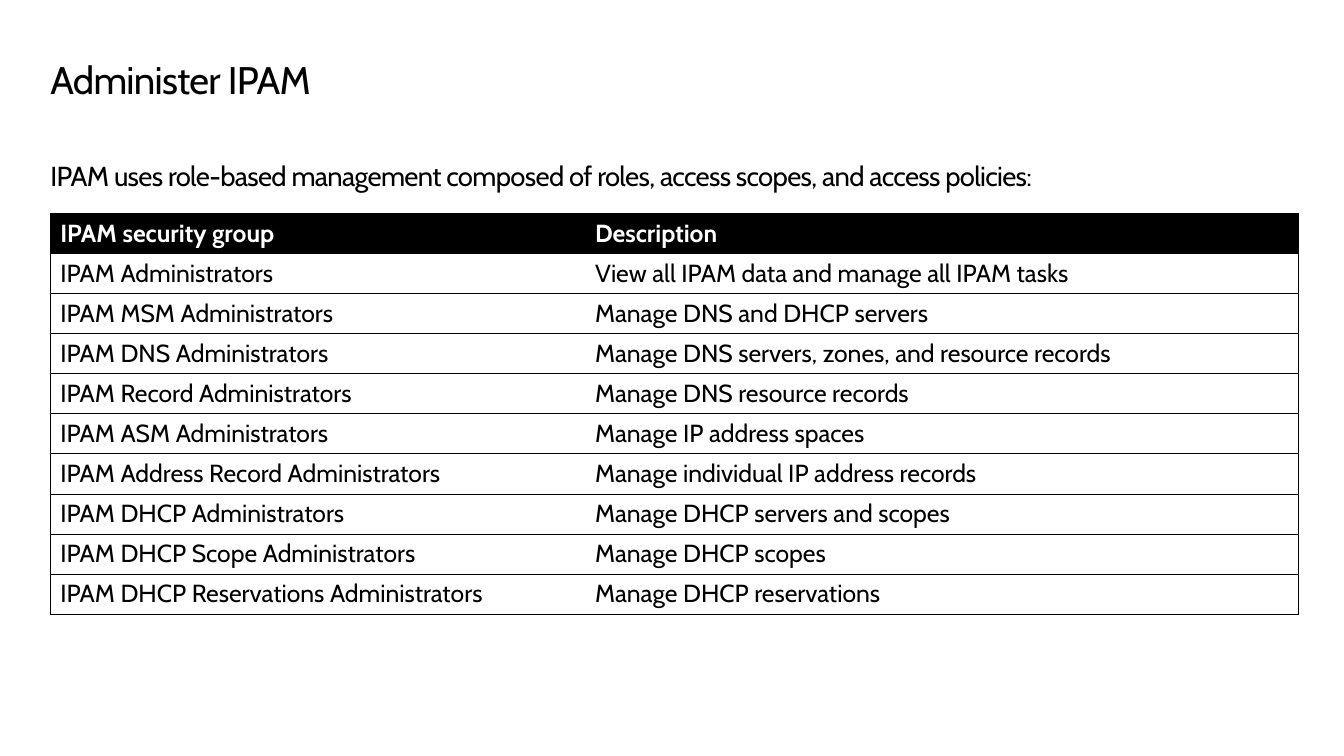
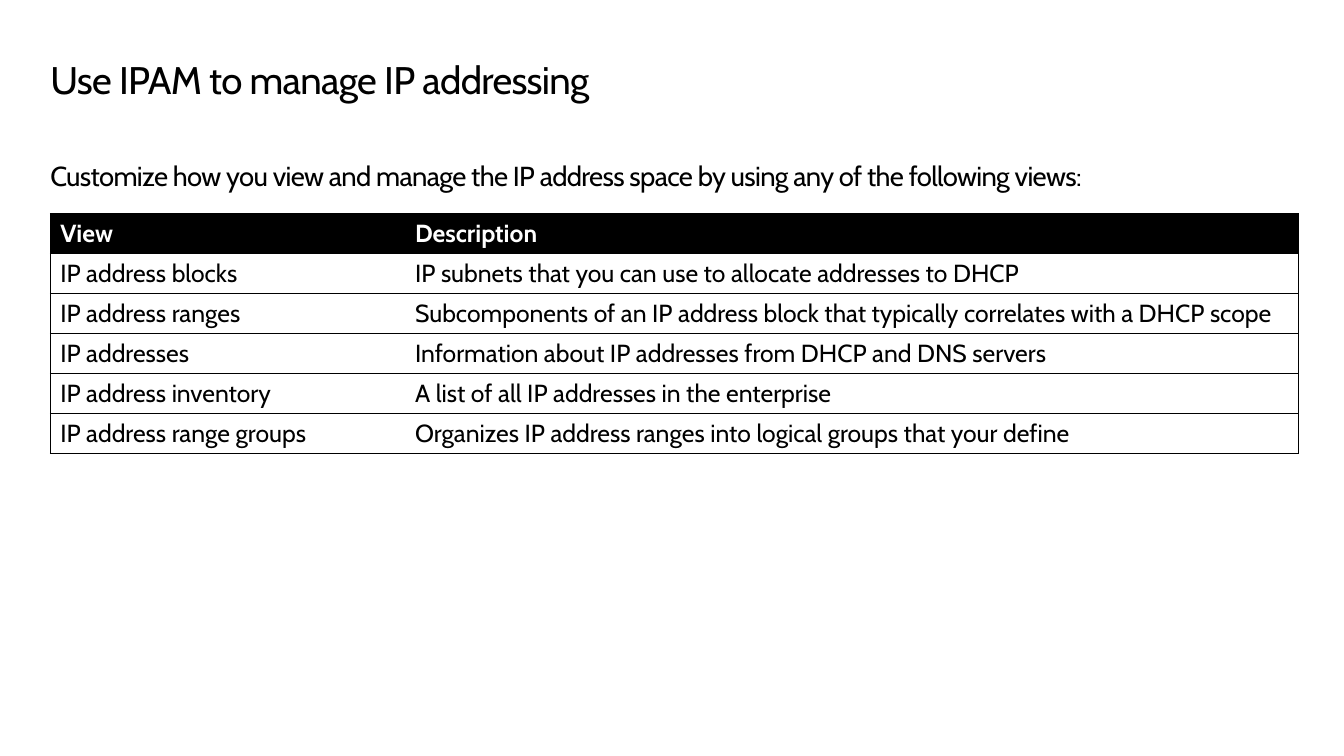
from pptx import Presentation
from pptx.dml.color import RGBColor
from pptx.enum.text import MSO_ANCHOR as Anchor, MSO_AUTO_SIZE as AutoSize, PP_ALIGN as Align
from pptx.oxml.ns import qn
from pptx.util import Pt
from lxml.etree import SubElement

BLACK = RGBColor(0, 0, 0)
WHITE = RGBColor(255, 255, 255)

SECURITY_GROUPS = [
    ("IPAM security group", "Description"),
    ("IPAM Administrators", "View all IPAM data and manage all IPAM tasks"),
    ("IPAM MSM Administrators", "Manage DNS and DHCP servers"),
    ("IPAM DNS Administrators", "Manage DNS servers, zones, and resource records"),
    ("IPAM Record Administrators", "Manage DNS resource records"),
    ("IPAM ASM Administrators", "Manage IP address spaces"),
    ("IPAM Address Record Administrators", "Manage individual IP address records"),
    ("IPAM DHCP Administrators", "Manage DHCP servers and scopes"),
    ("IPAM DHCP Scope Administrators", "Manage DHCP scopes"),
    ("IPAM DHCP Reservations Administrators", "Manage DHCP reservations"),
]

ADDRESS_VIEWS = [
    ("View", "Description"),
    ("IP address blocks", "IP subnets that you can use to allocate addresses to DHCP"),
    ("IP address ranges", "Subcomponents of an IP address block that typically correlates with a DHCP scope"),
    ("IP addresses", "Information about IP addresses from DHCP and DNS servers"),
    ("IP address inventory", "A list of all IP addresses in the enterprise"),
    ("IP address range groups", "Organizes IP address ranges into logical groups that your define"),
]


class Deck:
    font = "Cabin"
    left = 36.7
    text_width = 908
    table_width = 909
    table_top = 155.5
    row_height = 29.2
    rule = 0.75

    def __init__(self):
        self.deck = Presentation()
        self.deck.slide_width = Pt(979.2)
        self.deck.slide_height = Pt(550.8)
        self.page = None

    def add_page(self):
        self.page = self.deck.slides.add_slide(self.deck.slide_layouts[1])

    def add_span(self, para, text, size, color=BLACK, bold=False, spacing=0):
        span = para.add_run()
        span.text = text
        span.font.name = self.font
        span.font.size = Pt(size)
        span.font.bold = bold
        span.font.color.rgb = color
        if spacing:
            span.font._element.set("spc", str(round(spacing * 100)))

    def fill_placeholder(self, box, text, top, height, size, anchor, bottom=0):
        box.left, box.top = Pt(self.left), Pt(top)
        box.width, box.height = Pt(self.text_width), Pt(height)
        frame = box.text_frame
        frame.word_wrap = True
        frame.auto_size = AutoSize.NONE
        frame.vertical_anchor = anchor
        frame.margin_left = frame.margin_top = 0
        frame.margin_right, frame.margin_bottom = Pt(7.2), Pt(bottom)
        para = frame.paragraphs[0]
        para.alignment = Align.LEFT
        para.space_before = Pt(0)
        self.add_span(para, text, size, spacing=-0.5)
        return para

    def title(self, text):
        para = self.fill_placeholder(self.page.shapes.title, text, 44.6, 32.4, 28, Anchor.TOP)
        para.line_spacing = 0.9

    def lead(self, text):
        para = self.fill_placeholder(self.page.placeholders[1], text, 90, 53.3, 20, Anchor.BOTTOM, 3.6)
        properties = para._p.get_or_add_pPr()
        properties.set("marL", "0")
        properties.set("indent", "0")
        SubElement(properties, qn("a:buNone"))

    def borders(self, cell, visible):
        properties = cell._tc.get_or_add_tcPr()
        for side in "LRTB":
            line = SubElement(properties, qn(f"a:ln{side}"), w=str(Pt(self.rule)))
            if side in visible:
                fill = SubElement(line, qn("a:solidFill"))
                SubElement(fill, qn("a:srgbClr"), val=str(BLACK))
            else:
                SubElement(line, qn("a:noFill"))

    def table(self, rows, first_width):
        widths = (first_width, self.table_width - first_width)
        table = self.page.shapes.add_table(
            len(rows), len(widths), Pt(self.left), Pt(self.table_top),
            Pt(self.table_width), Pt(self.row_height * len(rows))).table
        table.horz_banding = False
        for column, width in zip(table.columns, widths):
            column.width = Pt(width)
        for number, texts in enumerate(rows):
            table.rows[number].height = Pt(self.row_height)
            header = number == 0
            for cell, text, sides in zip(table.rows[number].cells, texts, ("LTB", "RTB")):
                self.borders(cell, sides)
                cell.fill.solid()
                cell.fill.fore_color.rgb = BLACK if header else WHITE
                self.add_span(cell.text_frame.paragraphs[0], text, 18,
                              WHITE if header else BLACK, header)

    def table_page(self, title, lead, rows, first_width):
        self.add_page()
        self.title(title)
        self.lead(lead)
        self.table(rows, first_width)


def main():
    slides = Deck()
    slides.table_page(
        "Administer IPAM",
        "IPAM uses role-based management composed of roles, access scopes, and access policies:",
        SECURITY_GROUPS, 389.7)
    slides.table_page(
        "Use IPAM to manage IP addressing",
        "Customize how you view and manage the IP address space by using any of the following views:",
        ADDRESS_VIEWS, 258.5)
    slides.deck.save("out.pptx")


if __name__ == "__main__":
    main()
